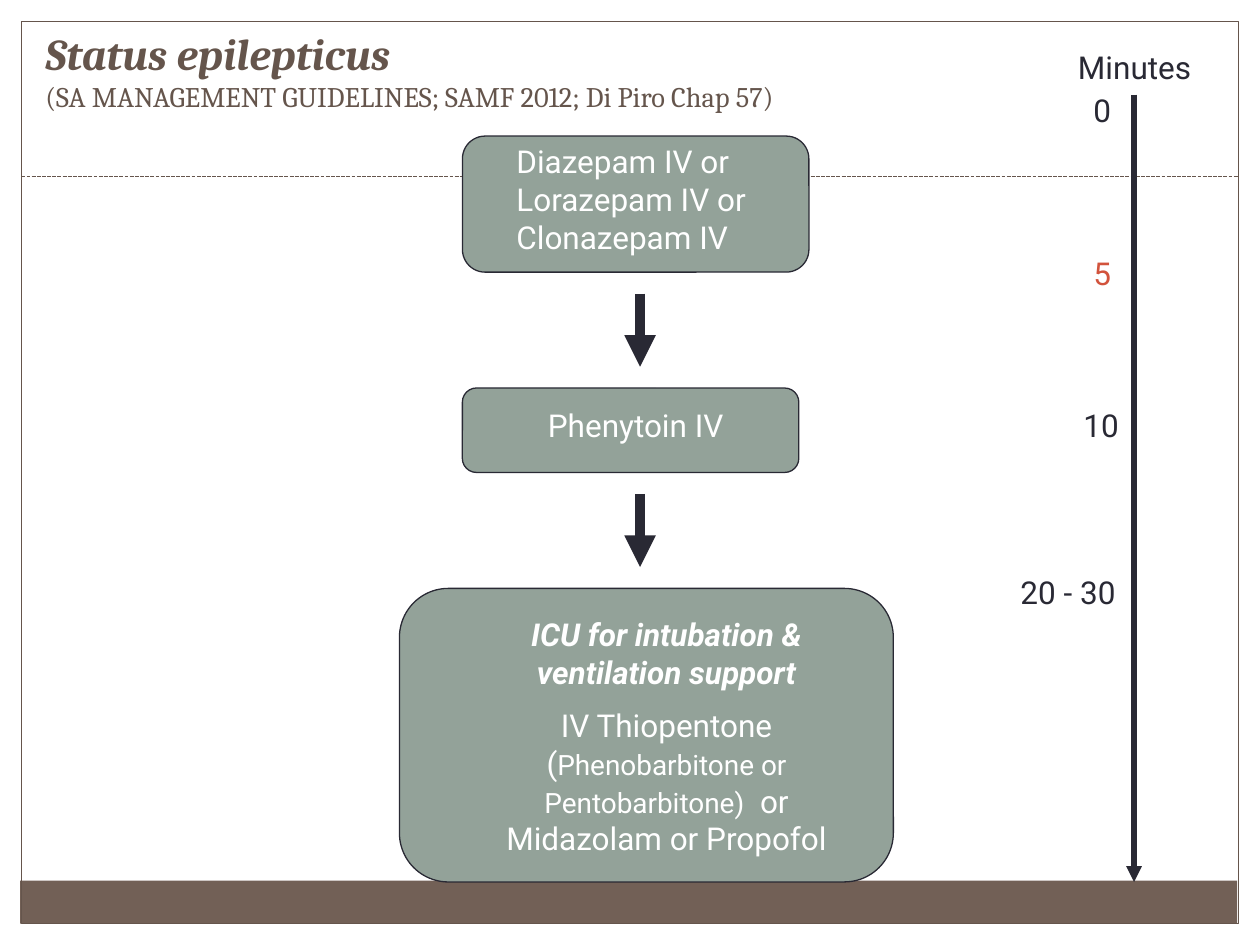
from lxml import etree
from pptx import Presentation
from pptx.dml.color import RGBColor
from pptx.enum.dml import MSO_LINE
from pptx.enum.shapes import MSO_CONNECTOR, MSO_SHAPE
from pptx.enum.text import MSO_ANCHOR, MSO_AUTO_SIZE, PP_ALIGN
from pptx.oxml.ns import qn
from pptx.util import Inches, Pt

RECT = MSO_SHAPE.RECTANGLE
PROCESS = MSO_SHAPE.FLOWCHART_ALTERNATE_PROCESS
STRAIGHT = MSO_CONNECTOR.STRAIGHT
DASH = MSO_LINE.SQUARE_DOT
LEFT, CENTER = PP_ALIGN.LEFT, PP_ALIGN.CENTER
BOTTOM = MSO_ANCHOR.BOTTOM
NO_FIT, FIT_SHAPE = MSO_AUTO_SIZE.NONE, MSO_AUTO_SIZE.SHAPE_TO_FIT_TEXT

WHITE = RGBColor(0xFF, 0xFF, 0xFF)
BROWN = RGBColor(0x65, 0x55, 0x4C)
BAND = RGBColor(0x72, 0x60, 0x56)
SAGE = RGBColor(0x93, 0xA2, 0x99)
INK = RGBColor(0x29, 0x29, 0x34)
RED = RGBColor(0xD2, 0x53, 0x3C)


def add_box(s, kind, x, y, w, h, fill=None, line=None):
    """Add a preset shape with an optional fill and thin outline."""
    sp = s.shapes.add_shape(kind, Inches(x), Inches(y), Inches(w), Inches(h))
    sp.shadow.inherit = False
    if fill is None:
        sp.fill.background()
    else:
        sp.fill.solid()
        sp.fill.fore_color.rgb = fill
    if line is None:
        sp.line.fill.background()
    else:
        sp.line.color.rgb = line
        sp.line.width = Pt(0.75)


def add_line(s, x1, y1, x2, y2, color, width, dash=None, arrow=False):
    """Add a straight line, dashed or ending in an arrowhead on request."""
    cx = s.shapes.add_connector(STRAIGHT, Inches(x1), Inches(y1), Inches(x2), Inches(y2))
    cx.line.color.rgb = color
    cx.line.width = Pt(width)
    if dash is not None:
        cx.line.dash_style = dash
    if arrow:
        etree.SubElement(cx.line._get_or_add_ln(), qn("a:tailEnd"), type="triangle")
    etree.SubElement(cx._element.spPr, qn("a:effectLst"))


def add_run(p, text, size, color, font="Roboto", strong=False):
    """Add a run, bold and italic when strong."""
    r = p.add_run()
    r.text = text
    r.font.name = font
    r.font.size = Pt(size)
    r.font.color.rgb = color
    r.font.bold = r.font.italic = strong


def add_text(s, x, y, w, h, paragraphs, color, align=LEFT):
    """Add a text box from paragraphs of (text, size, strong) runs."""
    tf = s.shapes.add_textbox(Inches(x), Inches(y), Inches(w), Inches(h)).text_frame
    tf.word_wrap = True
    tf.auto_size = FIT_SHAPE
    for i, runs in enumerate(paragraphs):
        p = tf.add_paragraph() if i else tf.paragraphs[0]
        p.alignment = align
        p.space_before = Pt(9 if i else 0)
        for text, size, strong in runs:
            add_run(p, text, size, color, strong=strong)


def add_label(s, x, y, w, text, color, h=0.4, align=LEFT):
    """Add a text box holding one plain 18 point run."""
    add_text(s, x, y, w, h, [[(text, 18, False)]], color, align)


def add_title(s):
    """Place the title with its source line beneath."""
    title = s.shapes.title
    title.left, title.top = Inches(0.26), Inches(0.17)
    title.width, title.height = Inches(7.66), Inches(0.78)
    tf = title.text_frame
    tf.auto_size = NO_FIT
    tf.word_wrap = True
    tf.vertical_anchor = BOTTOM
    p = tf.paragraphs[0]
    p.alignment = LEFT
    add_run(p, "Status epilepticus ", 25.2, BROWN, "Cambria", True)
    p.add_line_break()
    add_run(p, "(SA MANAGEMENT GUIDELINES; SAMF 2012; Di Piro Chap 57)", 16.2, BROWN, "Cambria")


def add_frame(s):
    """Draw the slide border, bottom band and dashed rule."""
    add_box(s, RECT, 0.16, 6.99, 9.66, 0.34, fill=BAND)
    add_box(s, RECT, 0.17, 0.17, 9.66, 7.16, line=BROWN)
    add_line(s, 0.17, 1.4, 9.83, 1.4, BROWN, 0.75, dash=DASH)


def add_treatment_steps(s):
    """Draw the three treatment boxes and the arrows between them."""
    for x, y, w, h in ((3.67, 1.08, 2.75, 1.08), (3.67, 3.08, 2.67, 0.67), (3.17, 4.67, 3.92, 2.33)):
        add_box(s, PROCESS, x, y, w, h, SAGE, INK)
    add_label(s, 4, 1.08, 2.25, "Diazepam IV or Lorazepam IV or Clonazepam IV", WHITE, h=1)
    add_label(s, 4.25, 3.17, 2.25, "Phenytoin IV", WHITE)
    icu = [
        [("ICU for intubation & ventilation support", 18, True)],
        [("IV Thiopentone (", 18, False),
         ("Phenobarbitone or Pentobarbitone)", 16, False),
         ("  or Midazolam or Propofol", 18, False)],
    ]
    add_text(s, 3.83, 4.83, 2.92, 2.07, icu, WHITE, CENTER)
    for y in (2.33, 3.92):
        add_line(s, 5.08, y, 5.08, y + 0.58, INK, 6, arrow=True)


def add_timeline(s):
    """Draw the minutes axis and its time marks."""
    add_line(s, 9, 0.75, 9, 7, INK, 3, arrow=True)
    add_label(s, 8.17, 0.33, 1.67, "Minutes", INK, align=CENTER)
    marks = (
        (8.58, 0.67, 0.67, "0", INK),
        (8.58, 1.97, 0.83, "5", RED),
        (8.5, 3.17, 0.83, "10", INK),
        (8, 4.5, 1.25, "20 - 30", INK),
    )
    for mark in marks:
        add_label(s, *mark)


def main():
    """Build and save the slide."""
    prs = Presentation()
    prs.slide_width, prs.slide_height = Inches(10), Inches(7.5)
    s = prs.slides.add_slide(prs.slide_layouts[5])
    s.background.fill.solid()
    s.background.fill.fore_color.rgb = WHITE
    add_title(s)
    add_frame(s)
    add_treatment_steps(s)
    add_timeline(s)
    prs.save("out.pptx")


if __name__ == "__main__":
    main()
